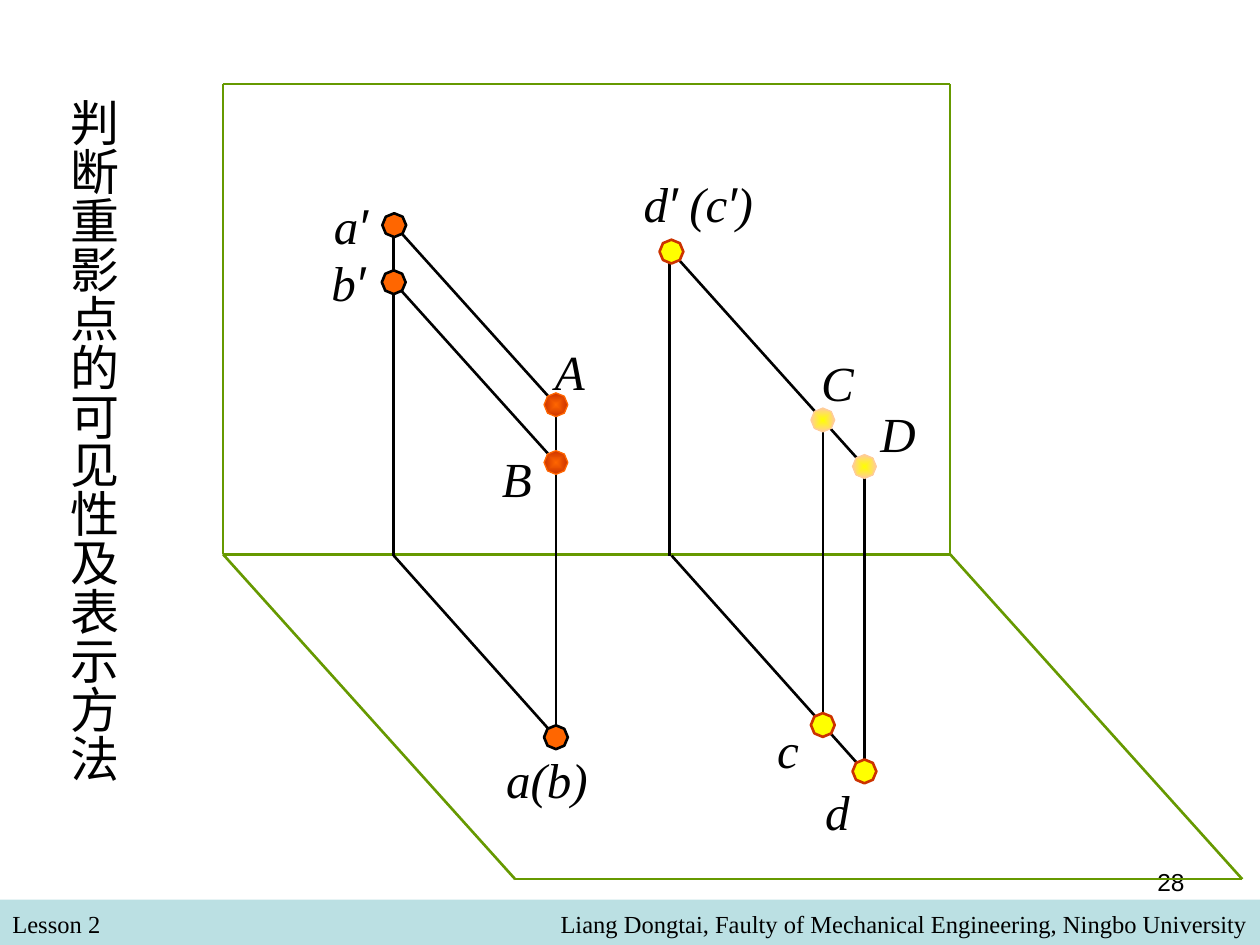
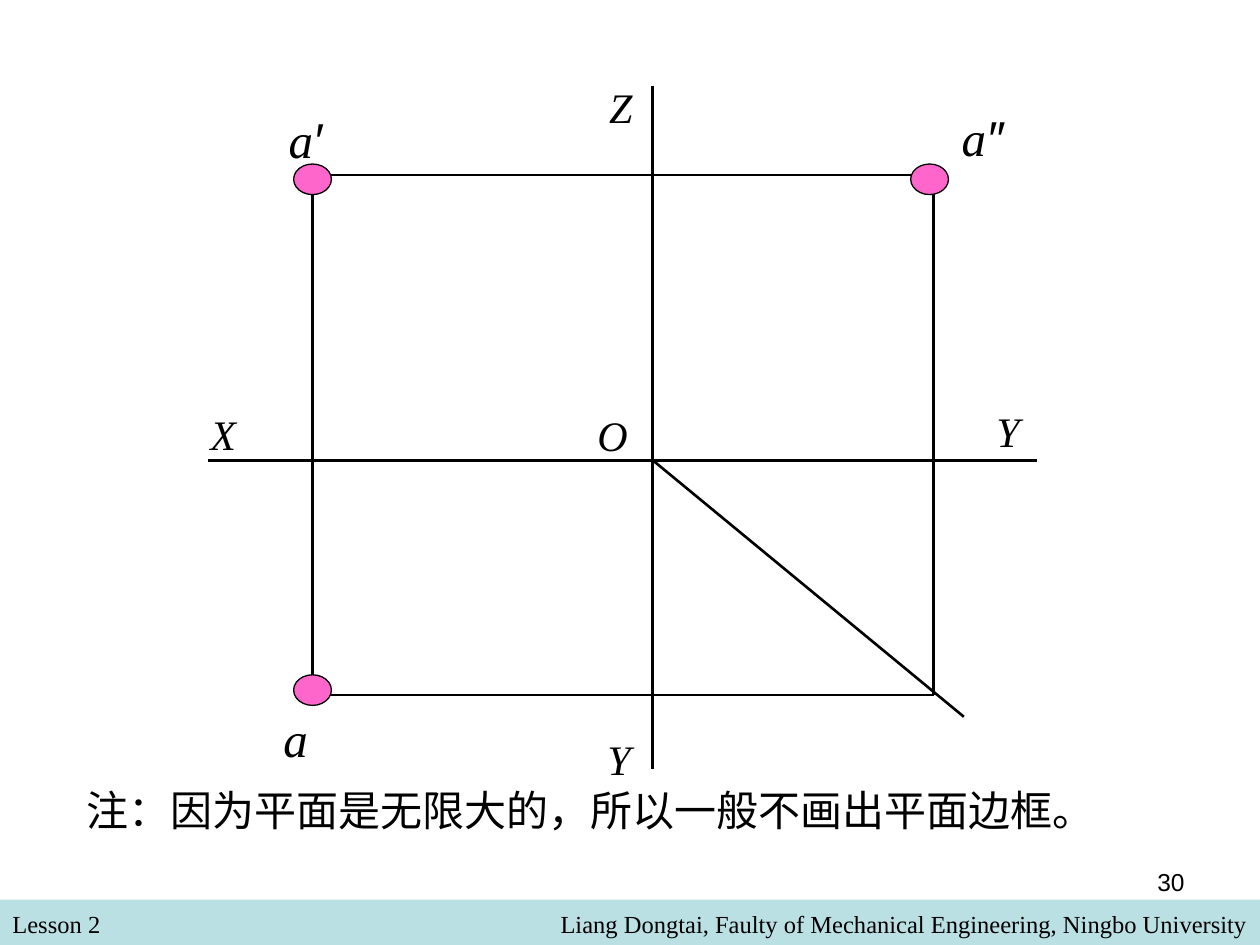
"""Build two slides on point projection: coincident points and the axis view."""
from itertools import groupby
from math import cos, pi, sin

from lxml.etree import SubElement
from pptx import Presentation
from pptx.dml.color import RGBColor
from pptx.enum.shapes import MSO_CONNECTOR, MSO_SHAPE
from pptx.enum.text import MSO_ANCHOR as ANCHOR, MSO_AUTO_SIZE as FIT, PP_ALIGN as ALIGN
from pptx.oxml.ns import qn
from pptx.util import Pt

BLACK = RGBColor(0x00, 0x00, 0x00)
BAND = RGBColor(0xBB, 0xE0, 0xE3)
GREEN = RGBColor(0x66, 0x99, 0x00)
ORANGE = RGBColor(0xFF, 0x66, 0x00)
RED = RGBColor(0xCC, 0x33, 0x00)
YELLOW = RGBColor(0xFF, 0xFF, 0x00)
PEACH = RGBColor(0xFF, 0xCC, 0x99)
PINK = RGBColor(0xFF, 0x66, 0xCC)

SERIF, SANS, CJK = "Times New Roman", "Arial", "Noto Sans CJK SC"
MARGINS = {"margin_left": Pt(7.2), "margin_right": Pt(7.2),
           "margin_top": Pt(3.6), "margin_bottom": Pt(3.6)}
FOOTER = {"name": SERIF, "size": Pt(14)}
NUMBER = {"name": SANS, "size": Pt(14)}
PRIMES = "′″"
DOT_RADIUS = 6.8


def apply(obj, fmt):
    """Set each attribute named in a dict of format values."""
    for key, value in fmt.items():
        setattr(obj, key, value)


def add_text(s, box, runs, align=ALIGN.LEFT, **frame):
    """Add a text box; runs are pairs of text and font format."""
    sp = s.shapes.add_textbox(*map(Pt, box))
    tf = sp.text_frame
    apply(tf, {"word_wrap": True, **MARGINS, **frame})
    p = tf.paragraphs[0]
    p.alignment = align
    for text, fmt in runs:
        r = p.add_run()
        r.text = text
        apply(r.font, fmt)
        r.font.color.rgb = BLACK
    return sp


def add_chinese(s, box, text, font, **frame):
    """Add a text box whose East Asian font is set."""
    sp = add_text(s, box, [(text, font)], **frame)
    for props in sp.element.iter(qn("a:rPr")):
        SubElement(props, qn("a:ea")).set("typeface", CJK)
    return sp


def add_label(s, text, left, top, width, size=28, align=ALIGN.CENTER, **frame):
    """Add an italic point or axis name, with its primes in the sans font."""
    runs = [("".join(chars), {"name": SANS if prime else SERIF, "size": Pt(size), "italic": True})
            for prime, chars in groupby(text, lambda ch: ch in PRIMES)]
    height = 41 if size == 28 else 36
    return add_text(s, (left, top, width, height), runs, align, **frame)


def add_line(s, start, end, color=BLACK):
    """Add a straight line between two points."""
    sp = s.shapes.add_connector(MSO_CONNECTOR.STRAIGHT, *map(Pt, (*start, *end)))
    sp.line.color.rgb = color
    sp.line.width = Pt(1.5)
    SubElement(sp.element.spPr, qn("a:effectLst"))


def add_lines(s, pairs, color=BLACK):
    """Add a line for each pair of points."""
    for start, end in pairs:
        add_line(s, start, end, color)


def set_outline(sp, color, width):
    """Outline a shape and remove its shadow."""
    sp.shadow.inherit = False
    sp.line.color.rgb = color
    sp.line.width = Pt(width)


def add_dot(s, center, fill, line, edge=None):
    """Add an octagonal dot, shaded from fill to edge when edge is given."""
    x, y = center
    corners = [(Pt(x + DOT_RADIUS * cos(i * pi / 4)), Pt(y + DOT_RADIUS * sin(i * pi / 4)))
               for i in range(8)]
    builder = s.shapes.build_freeform(*corners[0])
    builder.add_line_segments(corners[1:], close=True)
    sp = builder.convert_to_shape()
    set_outline(sp, line, 0.75 if edge else 1.5)
    if edge is None:
        sp.fill.solid()
        sp.fill.fore_color.rgb = fill
        return
    sp.fill.gradient()
    for stop, color in zip(sp.fill.gradient_stops, (fill, edge)):
        stop.color.rgb = color
    grad = sp.element.spPr.find(qn("a:gradFill"))
    grad.remove(grad.find(qn("a:lin")))
    shade = SubElement(grad, qn("a:path"))
    shade.set("path", "rect")
    center_rect = SubElement(shade, qn("a:fillToRect"))
    for side in "ltrb":
        center_rect.set(side, "50000")


def add_oval(s, left, top):
    """Add a pink point marker."""
    sp = s.shapes.add_shape(MSO_SHAPE.OVAL, Pt(left), Pt(top), Pt(21.6), Pt(17.5))
    set_outline(sp, BLACK, 0.75)
    sp.fill.solid()
    sp.fill.fore_color.rgb = PINK


def new_slide(prs, number):
    """Add a blank slide with the footer band and slide number."""
    s = prs.slides.add_slide(prs.slide_layouts[6])
    band = s.shapes.add_shape(MSO_SHAPE.RECTANGLE, 0, Pt(514), Pt(720), Pt(26))
    band.shadow.inherit = False
    band.fill.solid()
    band.fill.fore_color.rgb = BAND
    band.line.fill.background()
    add_text(s, (0, 516.2, 348, 24.5), [("Lesson 2", FOOTER)])
    add_text(s, (132, 516.2, 588, 24.5),
             [("Liang Dongtai, Faulty of Mechanical Engineering, Ningbo University", FOOTER)],
             ALIGN.RIGHT)
    add_text(s, (516, 492, 168, 37.5), [(str(number), NUMBER)], ALIGN.RIGHT)
    return s


def add_planes(s):
    """Draw the vertical and horizontal projection planes."""
    left, right, top, fold, front, shift = 127.4, 542.9, 48, 316.7, 502.4, 167
    add_lines(s, [((left, y), (right, y)) for y in (top, fold)], GREEN)
    for x in (left, right):
        add_lines(s, [((x, top), (x, fold)), ((x, fold), (x + shift, front))], GREEN)
    add_line(s, (left + shift, front), (right + shift, front), GREEN)


def build_coincident_points(prs):
    """Show the visibility of coincident points."""
    s = new_slide(prs, 28)
    add_planes(s)
    a_front, b_front, a_space, b_space, ab_top = (
        (225.3, 128.7), (225, 161.3), (317.7, 231.3), (317.7, 264.3), (317.7, 421.3))
    dc_front, c_space, d_space, c_top, d_top = (
        (383.7, 143.8), (470.2, 240), (494, 266.6), (470.2, 414.3), (494, 440.8))
    ab_fold, cd_fold = (225, 317.5), (382.5, 317.5)
    add_lines(s, [
        ((225, 128.7), ab_fold), (ab_fold, ab_top), (a_front, a_space),
        (b_front, b_space), (a_space, ab_top),
        ((382.5, 143.8), cd_fold), ((383.8, 317.5), d_top), (dc_front, d_space),
        (c_space, c_top), (d_space, d_top)])
    for points, fill, line, edge in (
            ((a_front, b_front, ab_top), ORANGE, BLACK, None),
            ((dc_front, c_top, d_top), YELLOW, RED, None),
            ((a_space, b_space), ORANGE, ORANGE, RED),
            ((c_space, d_space), YELLOW, PEACH, PEACH)):
        for point in points:
            add_dot(s, point, fill, line, edge)
    for text, left, top in (("a′", 176.4, 108), ("b′", 175, 141),
                            ("A", 301.7, 191.5), ("B", 271.4, 252.7)):
        add_label(s, text, left, top, 48)
    for text, left, top, width in (
            ("d′ (c′)", 360.7, 95.8, 105), ("a(b)", 282.2, 424.8, 104),
            ("C", 462.2, 198, 30), ("D", 496, 226.8, 30),
            ("c", 437, 407.5, 30), ("d", 464.4, 442.8, 30)):
        add_label(s, text, left, top, width, align=ALIGN.LEFT)
    sp = add_chinese(s, (26, 49, 47.5, 431.3), "判断重影点的可见性及表示方法",
                     {"name": SANS, "size": Pt(28)}, auto_size=FIT.SHAPE_TO_FIT_TEXT,
                     margin_left=Pt(3.6), margin_right=Pt(3.6),
                     margin_top=Pt(7.2), margin_bottom=Pt(7.2))
    sp.element.txBody.find(qn("a:bodyPr")).set("vert", "eaVert")


def build_axis_view(prs):
    """Show the three views of a point without plane borders."""
    s = new_slide(prs, 30)
    add_chinese(s, (42.5, 417.6, 648, 90), "注：因为平面是无限大的，所以一般不画出平面边框。",
                {"name": CJK, "size": Pt(24)}, vertical_anchor=ANCHOR.MIDDLE)
    left, right, top, bottom = 178.6, 533.6, 100, 397.2
    axis_x, axis_y = 373, 263
    add_lines(s, [
        ((172, bottom), (right, bottom)), ((left, 107), (left, 391)),
        ((right, bottom), (right, top)), ((left, top), (right, top)),
        ((axis_x, axis_y), (550.8, 409.6)),
        ((118.8, axis_y), (592.6, axis_y)), ((axis_x, 49), (axis_x, 439.2))])
    for x, y in ((167.8, 93.7), (520.4, 93.7), (167.8, 385.6)):
        add_oval(s, x, y)
    for text, x, y, width, size in (
            ("Z", 337.7, 43.2, 34, 24), ("Y", 316.8, 415.4, 74, 24),
            ("X", 105, 229.7, 45, 24), ("Y", 538.6, 228.2, 75, 24),
            ("O", 334, 230.4, 32, 24), ("a′", 152, 59, 45, 28),
            ("a″", 533.5, 57.6, 56, 28), ("a", 154.8, 401, 28, 28)):
        add_label(s, text, x, y, width, size, vertical_anchor=ANCHOR.MIDDLE, word_wrap=width > 44)


def main():
    """Build and save the presentation."""
    prs = Presentation()
    prs.slide_width, prs.slide_height = Pt(720), Pt(540)
    build_coincident_points(prs)
    build_axis_view(prs)
    prs.save("out.pptx")


if __name__ == "__main__":
    main()
